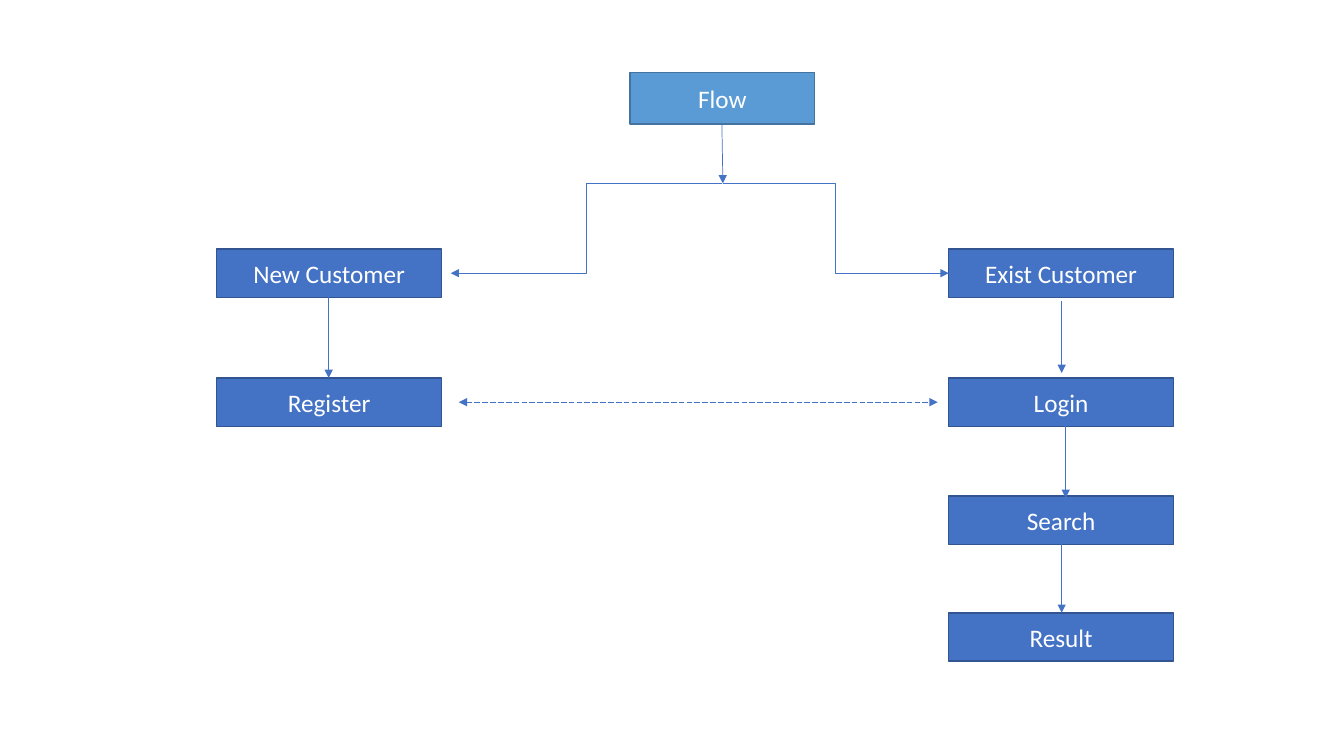
import dataclasses

import pptx
import pptx.dml.color
import pptx.enum.dml
import pptx.enum.shapes
import pptx.enum.text
import pptx.oxml.ns
import pptx.util
from lxml import etree
from pptx.util import Inches


@dataclasses.dataclass(frozen=True)
class Theme:
    font: str = "Calibri"
    size: int = 18
    text: str = "FFFFFF"
    start_fill: str = "5B9BD5"
    start_line: str = "43739E"
    step_fill: str = "4472C4"
    step_line: str = "325491"
    arrow: str = "4472C4"


theme = Theme()
rgb = pptx.dml.color.RGBColor.from_string
connectors = pptx.enum.shapes.MSO_CONNECTOR
qn = pptx.oxml.ns.qn


def add_box(slide, text, left, top, width, height, fill, line):
    shape = slide.shapes.add_shape(
        pptx.enum.shapes.MSO_SHAPE.RECTANGLE,
        Inches(left), Inches(top), Inches(width), Inches(height))
    shape.shadow.inherit = False
    shape.fill.solid()
    shape.fill.fore_color.rgb = rgb(fill)
    shape.line.color.rgb = rgb(line)
    shape.line.width = pptx.util.Pt(1)
    shape.text_frame.vertical_anchor = pptx.enum.text.MSO_ANCHOR.MIDDLE
    paragraph = shape.text_frame.paragraphs[0]
    paragraph.text = text
    paragraph.alignment = pptx.enum.text.PP_ALIGN.CENTER
    paragraph.font.name = theme.font
    paragraph.font.size = pptx.util.Pt(theme.size)
    paragraph.font.color.rgb = rgb(theme.text)


def add_arrow(slide, kind, start, end, two_way=False):
    """Draw an arrow from start to end; a two-way arrow is dashed."""
    connector = slide.shapes.add_connector(
        kind, *[Inches(value) for value in (*start, *end)])
    connector.line.color.rgb = rgb(theme.arrow)
    connector.line.width = pptx.util.Pt(0.5)
    if two_way:
        connector.line.dash_style = pptx.enum.dml.MSO_LINE.LONG_DASH
    properties = connector._element.spPr
    outline = properties.find(qn("a:ln"))
    for tag in ("a:headEnd", "a:tailEnd") if two_way else ("a:tailEnd",):
        etree.SubElement(outline, qn(tag)).set("type", "triangle")
    etree.SubElement(properties, qn("a:effectLst"))


presentation = pptx.Presentation()
presentation.slide_width = Inches(13.33)
presentation.slide_height = Inches(7.5)
slide = presentation.slides.add_slide(presentation.slide_layouts[6])

# Boxes: the start, then two columns of steps
add_box(slide, "Flow", 6.25, 0.72, 1.83, 0.51, theme.start_fill, theme.start_line)

step_width, step_height = 2.23, 0.48
new_left, exist_left = 2.15, 9.41
row_tops = (2.47, 3.75, 4.92, 6.08)
columns = (
    (new_left, ("New Customer", "Register")),
    (exist_left, ("Exist Customer", "Login", "Search", "Result")),
)
for left, steps in columns:
    for text, top in zip(steps, row_tops):
        add_box(slide, text, left, top, step_width, step_height,
                theme.step_fill, theme.step_line)

# Fork below the start box
fork_y = 1.82
customer_y = row_tops[0] + step_height / 2
add_arrow(slide, connectors.STRAIGHT, (7.16, 1.24), (7.17, fork_y))
add_arrow(slide, connectors.ELBOW, (7.16, fork_y), (4.47, customer_y))
add_arrow(slide, connectors.ELBOW, (7.17, fork_y), (exist_left, customer_y))

# Arrows down the columns
for x, top, bottom in (
    (3.26, 2.94, 3.75),
    (10.53, 2.99, 3.7),
    (10.57, 4.23, 4.94),
    (10.53, 5.37, 6.08),
):
    add_arrow(slide, connectors.STRAIGHT, (x, top), (x, bottom))

# Register and Login lead to each other
login_y = row_tops[1] + step_height / 2
add_arrow(slide, connectors.STRAIGHT, (4.55, login_y), (9.3, login_y), two_way=True)

presentation.save("out.pptx")
